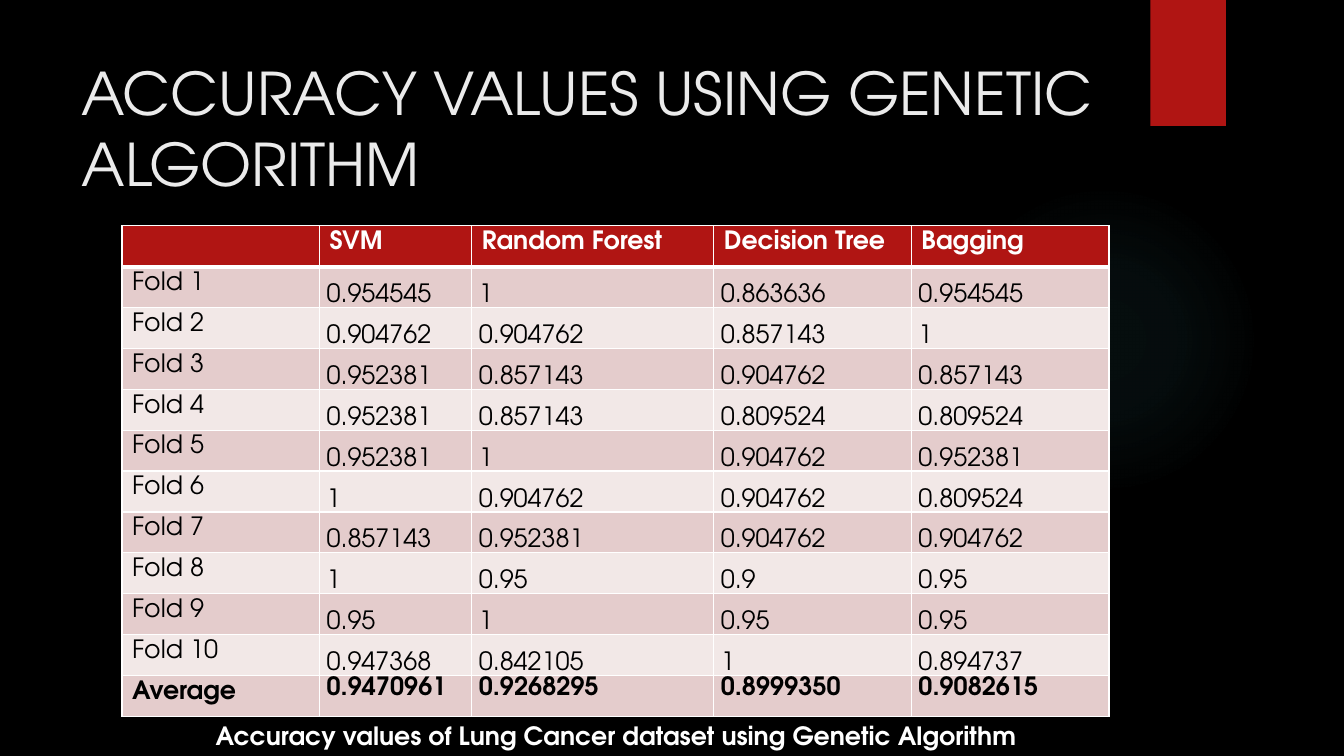
from lxml import etree
from pptx import Presentation
from pptx.dml.color import RGBColor
from pptx.enum.shapes import MSO_SHAPE as Shape
from pptx.enum.text import MSO_ANCHOR as Anchor, PP_ALIGN as Align
from pptx.oxml import parse_xml
from pptx.oxml.ns import nsdecls, qn
from pptx.util import Inches, Pt

TITLE = "ACCURACY VALUES USING GENETIC ALGORITHM"
CAPTION = "Accuracy values of Lung Cancer dataset using Genetic Algorithm"
ROWS = [
    ("", "SVM", "Random Forest", "Decision Tree", "Bagging"),
    ("Fold 1", "0.954545", "1", "0.863636", "0.954545"),
    ("Fold 2", "0.904762", "0.904762", "0.857143", "1"),
    ("Fold 3", "0.952381", "0.857143", "0.904762", "0.857143"),
    ("Fold 4", "0.952381", "0.857143", "0.809524", "0.809524"),
    ("Fold 5", "0.952381", "1", "0.904762", "0.952381"),
    ("Fold 6", "1", "0.904762", "0.904762", "0.809524"),
    ("Fold 7", "0.857143", "0.952381", "0.904762", "0.904762"),
    ("Fold 8", "1", "0.95", "0.9", "0.95"),
    ("Fold 9", "0.95", "1", "0.95", "0.95"),
    ("Fold 10", "0.947368", "0.842105", "1", "0.894737"),
    ("Average", "0.9470961", "0.9268295", "0.8999350", "0.9082615"),
]
COLUMN_WIDTHS = (1.96, 1.51, 2.4, 1.96, 1.96)
TABLE_HEIGHT = 4.87
GLOW_STOPS = ((0, 7), (36, 6), (69, 0))  # position and opacity, in percent

FONT = "TeX Gyre Adventor"
BLACK = RGBColor(0x00, 0x00, 0x00)
WHITE = RGBColor(0xFF, 0xFF, 0xFF)
TITLE_GREY = RGBColor(0xEB, 0xEB, 0xEB)
RED = RGBColor(0xB0, 0x15, 0x13)
DARK_BAND = RGBColor(0xE4, 0xCC, 0xCC)
LIGHT_BAND = RGBColor(0xF2, 0xE8, 0xE7)
GLOW = RGBColor(0x50, 0xB9, 0xC1)


def format_text(text_frame, size, color, bold=False):
    for paragraph in text_frame.paragraphs:
        for run in paragraph.runs:
            run.font.name = FONT
            run.font.size = Pt(size)
            run.font.color.rgb = color
            run.font.bold = bold


def add_text(slide, box, text, size, color, bold=False, align=Align.LEFT):
    text_frame = slide.shapes.add_textbox(*map(Inches, box)).text_frame
    text_frame.word_wrap = True
    text_frame.text = text
    text_frame.paragraphs[0].alignment = align
    format_text(text_frame, size, color, bold)
    return text_frame


def add_plain_shape(slide, kind, box, color):
    shape = slide.shapes.add_shape(kind, *map(Inches, box))
    shape.shadow.inherit = False
    shape.fill.solid()
    shape.fill.fore_color.rgb = color
    shape.line.fill.background()
    return shape


def fade_from_centre(shape, color, stops):
    """Replace the solid fill by a transparent radial gradient."""
    stop_xml = "".join(
        f'<a:gs pos="{position * 1000}"><a:srgbClr val="{color}">'
        f'<a:alpha val="{opacity * 1000}"/></a:srgbClr></a:gs>'
        for position, opacity in stops)
    gradient = parse_xml(
        f'<a:gradFill {nsdecls("a")}><a:gsLst>{stop_xml}</a:gsLst>'
        '<a:path path="circle"><a:fillToRect l="50000" t="50000" r="50000" b="50000"/>'
        '</a:path></a:gradFill>')
    properties = shape.element.spPr
    properties.replace(properties.find(qn("a:solidFill")), gradient)


def set_borders(cell, widths):
    """Draw white borders; widths are points for left, right, top, bottom."""
    properties = cell._tc.get_or_add_tcPr()
    for index, (side, width) in enumerate(zip("LRTB", widths)):
        line = etree.Element(qn(f"a:ln{side}"), w=str(Pt(width)))
        fill = etree.SubElement(line, qn("a:solidFill"))
        etree.SubElement(fill, qn("a:srgbClr"), val=str(WHITE))
        properties.insert(index, line)


def fill_cell(cell, text, row, column):
    header, average = row == 0, row == len(ROWS) - 1
    cell.text = text
    format_text(cell.text_frame, 18, WHITE if header else BLACK, header or average)
    if column and not header:
        cell.margin_left = cell.margin_right = Inches(0.07)
        cell.margin_top = cell.margin_bottom = 0
        cell.text_frame.paragraphs[0].line_spacing = 1.05
        cell.vertical_anchor = Anchor.TOP if average else Anchor.BOTTOM
    cell.fill.solid()
    cell.fill.fore_color.rgb = RED if header else DARK_BAND if row % 2 else LIGHT_BAND
    set_borders(cell, (1, 1, 3 if row == 1 else 1, 3 if header else 1))


def add_accuracy_table(slide):
    frame = slide.shapes.add_table(
        len(ROWS), len(COLUMN_WIDTHS), Inches(1.21), Inches(2.24),
        Inches(sum(COLUMN_WIDTHS)), Inches(TABLE_HEIGHT))
    table = frame.table
    for column, width in zip(table.columns, COLUMN_WIDTHS):
        column.width = Inches(width)
    for row, texts in enumerate(ROWS):
        for column, text in enumerate(texts):
            fill_cell(table.cell(row, column), text, row, column)


def main():
    presentation = Presentation()
    presentation.slide_width = Inches(13.33)
    presentation.slide_height = Inches(7.5)
    slide = presentation.slides.add_slide(presentation.slide_layouts[6])
    slide.background.fill.solid()
    slide.background.fill.fore_color.rgb = BLACK

    glow = add_plain_shape(slide, Shape.OVAL, (9.41, 1.83, 3.08, 3.08), GLOW)
    fade_from_centre(glow, GLOW, GLOW_STOPS)
    add_plain_shape(slide, Shape.RECTANGLE, (11.41, 0, 0.75, 1.25), RED)
    title = add_text(slide, (0.71, 0.5, 10.29, 1.53), TITLE, 42, TITLE_GREY)
    title.vertical_anchor = Anchor.MIDDLE
    add_accuracy_table(slide)
    add_text(slide, (0.71, 7.1, 10.8, 0.4), CAPTION, 18, WHITE, True, Align.CENTER)
    presentation.save("out.pptx")


if __name__ == "__main__":
    main()
